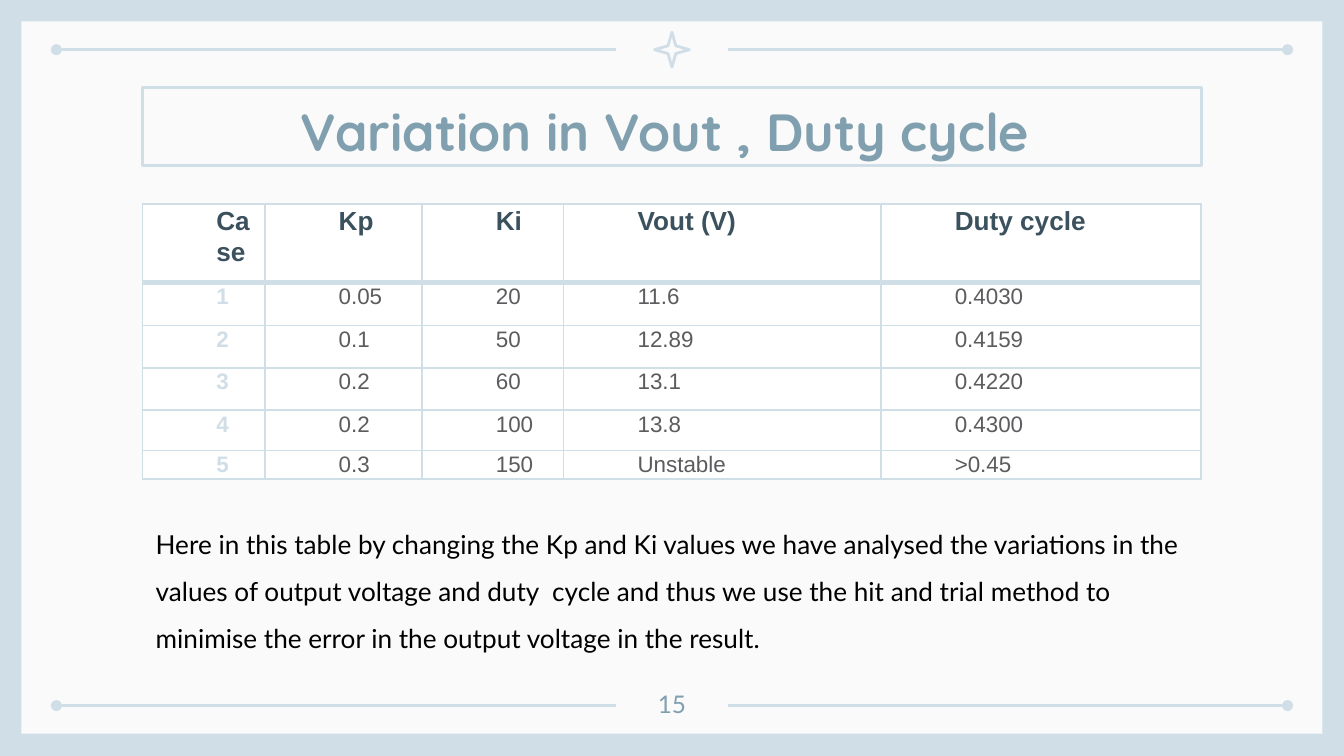
from dataclasses import dataclass

from lxml.etree import SubElement
from pptx import Presentation
from pptx.dml.color import RGBColor
from pptx.enum.shapes import MSO_CONNECTOR, MSO_SHAPE
from pptx.enum.text import MSO_ANCHOR, MSO_AUTO_SIZE, PP_ALIGN
from pptx.oxml.ns import qn
from pptx.util import Inches, Pt


@dataclass(frozen=True)
class Theme:
    frost: str = "CFDEE7"
    paper: str = "FAFAFA"
    white: str = "FFFFFF"
    steel: str = "809FAF"
    header_ink: str = "3B515D"
    value_ink: str = "5C5C5F"
    black: str = "000000"
    title_font: str = "Quicksand"
    text_font: str = "Lato"
    table_font: str = "Arial"
    title_size: float = 28
    text_size: float = 14
    value_size: float = 12
    number_size: float = 13
    outline: float = 1.5
    cell_border: float = 1
    header_border: float = 3


THEME = Theme()

# Square grid on a 16:9 slide: 100 columns by 56.25 rows
COLUMNS = 100
ROWS = COLUMNS * 9 / 16
LEFT, CONTENT_WIDTH = 10.6, 78.8
RULE_TOP, RULE_BOTTOM = 3.7, 52.5

HEADINGS = ["Case", "Kp", "Ki", "Vout (V)", "Duty cycle"]
CASES = [
    ["1", "0.05", "20", "11.6", "0.4030"],
    ["2", "0.1", "50", "12.89", "0.4159"],
    ["3", "0.2", "60", "13.1", "0.4220"],
    ["4", "0.2", "100", "13.8", "0.4300"],
    ["5", "0.3", "150", "Unstable", ">0.45"],
]
COLUMN_WIDTHS = [9.1, 11.7, 10.55, 23.6, 23.8]
# The last row grows to the height of its text
ROW_HEIGHTS = [5.85, 3.16, 3.16, 3.16, 3, 0]
TABLE_HEIGHT = 20.4
EXPLANATION = (
    "Here in this table by changing the Kp and Ki values we have analysed "
    "the variations in the values of output voltage and duty  cycle and thus "
    "we use the hit and trial method to minimise the error in the output "
    "voltage in the result."
)


def grid(units):
    return Inches(units / 10)


def box(*units):
    return [grid(unit) for unit in units]


def rgb(color):
    return RGBColor.from_string(color)


def set_text(frame, text, font, size, color, bold=False,
             align=PP_ALIGN.LEFT, spacing=1.0):
    frame.word_wrap = True
    paragraph = frame.paragraphs[0]
    paragraph.text = text
    paragraph.alignment = align
    paragraph.line_spacing = spacing
    paragraph.font.name = font
    paragraph.font.size = Pt(size)
    paragraph.font.bold = bold
    paragraph.font.color.rgb = rgb(color)
    return paragraph


def add_panel(slide, kind, bounds, fill=None, line=None):
    panel = slide.shapes.add_shape(kind, *box(*bounds))
    panel.shadow.inherit = False
    if fill:
        panel.fill.solid()
        panel.fill.fore_color.rgb = rgb(fill)
    else:
        panel.fill.background()
    if line:
        panel.line.color.rgb = rgb(line)
        panel.line.width = Pt(THEME.outline)
    else:
        panel.line.fill.background()
    return panel


def add_rule(slide, start, end, row, dotted_end):
    rule = slide.shapes.add_connector(
        MSO_CONNECTOR.STRAIGHT, *box(start, row, end, row))
    rule.line.color.rgb = rgb(THEME.frost)
    rule.line.width = Pt(THEME.outline)
    SubElement(rule.line._get_or_add_ln(), qn(f"a:{dotted_end}"), type="oval")
    SubElement(rule._element.spPr, qn("a:effectLst"))


def add_text(slide, bounds, text, size, color, **style):
    text_box = slide.shapes.add_textbox(*box(*bounds))
    set_text(text_box.text_frame, text, THEME.text_font, size, color, **style)
    return text_box.text_frame


def set_borders(cell, widths):
    properties = cell._tc.get_or_add_tcPr()
    for position, (side, width) in enumerate(widths.items()):
        border = SubElement(properties, qn(f"a:ln{side}"), w=str(Pt(width)))
        fill = SubElement(border, qn("a:solidFill"))
        SubElement(fill, qn("a:srgbClr"), val=THEME.frost)
        # Borders come before the cell fill
        properties.insert(position, border)


def fill_cell(cell, text, row, column):
    cell.margin_left = cell.margin_right = grid(0.5)
    cell.margin_top = cell.margin_bottom = 0
    cell.fill.solid()
    cell.fill.fore_color.rgb = rgb(THEME.white)
    header = row == 0
    if header:
        size, color = THEME.text_size, THEME.header_ink
    else:
        size = THEME.value_size
        color = THEME.frost if column == 0 else THEME.value_ink
    paragraph = set_text(cell.text_frame, text, THEME.table_font, size, color,
                         bold=header or column == 0, spacing=1.07)
    properties = paragraph._p.get_or_add_pPr()
    properties.set("marL", str(grid(5)))
    properties.set("indent", "0")
    widths = dict.fromkeys("LRTB", THEME.cell_border)
    if header:
        widths["B"] = THEME.header_border
    elif row == 1:
        widths["T"] = THEME.header_border
    set_borders(cell, widths)


def add_case_table(slide):
    table = slide.shapes.add_table(
        len(ROW_HEIGHTS), len(COLUMN_WIDTHS),
        *box(LEFT, 15.2, CONTENT_WIDTH, TABLE_HEIGHT)).table
    for column, width in zip(table.columns, COLUMN_WIDTHS):
        column.width = grid(width)
    for row, height in zip(table.rows, ROW_HEIGHTS):
        row.height = grid(height)
    for row, values in enumerate([HEADINGS, *CASES]):
        for column, value in enumerate(values):
            fill_cell(table.cell(row, column), value, row, column)


def add_frame(slide):
    slide.background.fill.solid()
    slide.background.fill.fore_color.rgb = rgb(THEME.frost)
    add_panel(slide, MSO_SHAPE.RECTANGLE, (1.6, 1.6, 96.8, 53),
              fill=THEME.paper)
    for row in (RULE_TOP, RULE_BOTTOM):
        add_rule(slide, 4.2, 45.8, row, "headEnd")
        add_rule(slide, 54.2, 95.8, row, "tailEnd")
    star = add_panel(slide, MSO_SHAPE.STAR_4_POINT,
                     (48.7, RULE_TOP - 1.3, 2.6, 2.6), line=THEME.frost)
    star.adjustments[0] = 0.157


def add_title(slide):
    title = add_panel(slide, MSO_SHAPE.RECTANGLE,
                      (LEFT, 6.5, CONTENT_WIDTH, 5.8), line=THEME.frost)
    frame = title.text_frame
    frame.margin_top = frame.margin_bottom = grid(1)
    frame.vertical_anchor = MSO_ANCHOR.MIDDLE
    set_text(frame, "Variation in Vout , Duty cycle ", THEME.title_font,
             THEME.title_size, THEME.steel, bold=True,
             align=PP_ALIGN.CENTER, spacing=1.15)


def main():
    presentation = Presentation()
    presentation.slide_width = grid(COLUMNS)
    presentation.slide_height = grid(ROWS)
    slide = presentation.slides.add_slide(presentation.slide_layouts[6])

    # Frame, page number and title
    add_frame(slide)
    number = add_text(slide, (47, 50.3, 6, 3.6), "15", THEME.number_size,
                      THEME.steel, align=PP_ALIGN.CENTER)
    number.margin_top = number.margin_bottom = grid(1)
    add_title(slide)

    # Results and explanation
    add_case_table(slide)
    explanation = add_text(slide, (LEFT, 37.65, CONTENT_WIDTH, 11.2),
                           EXPLANATION, THEME.text_size, THEME.black,
                           spacing=1.5)
    explanation.auto_size = MSO_AUTO_SIZE.SHAPE_TO_FIT_TEXT

    presentation.save("out.pptx")


if __name__ == "__main__":
    main()
